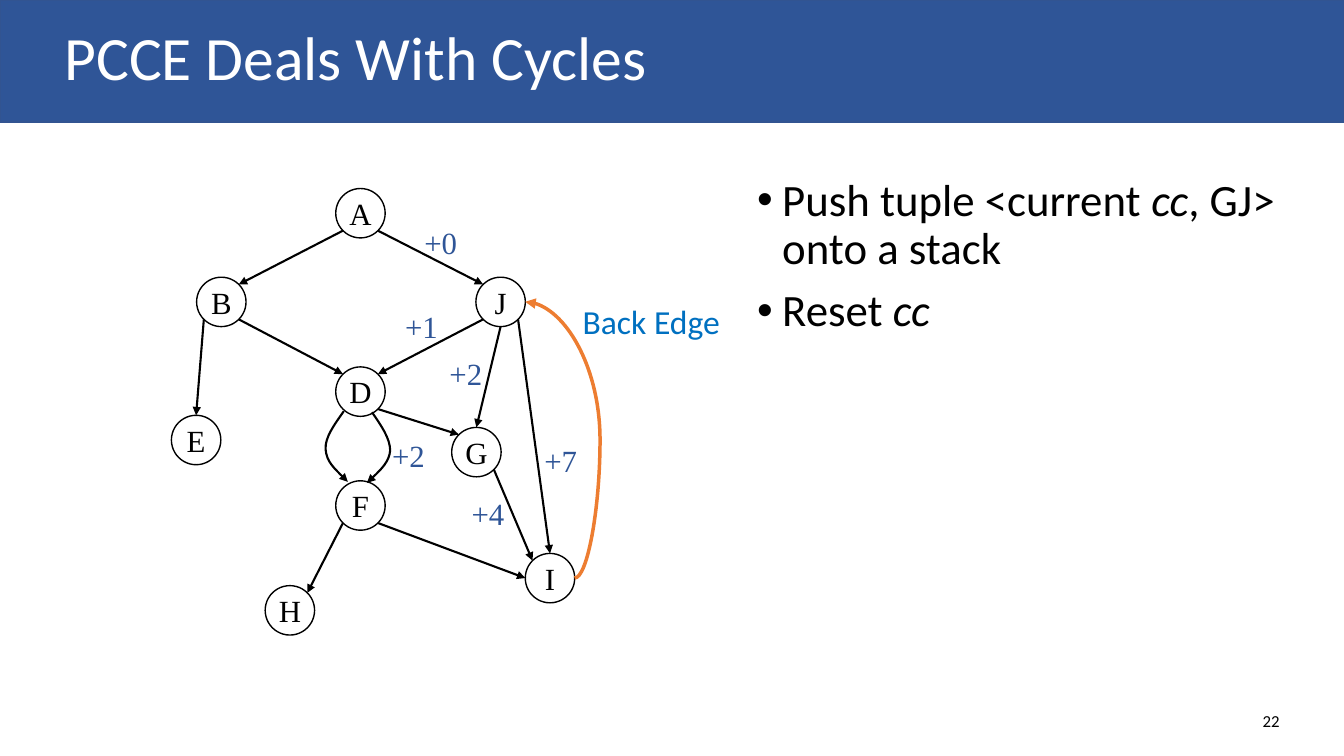
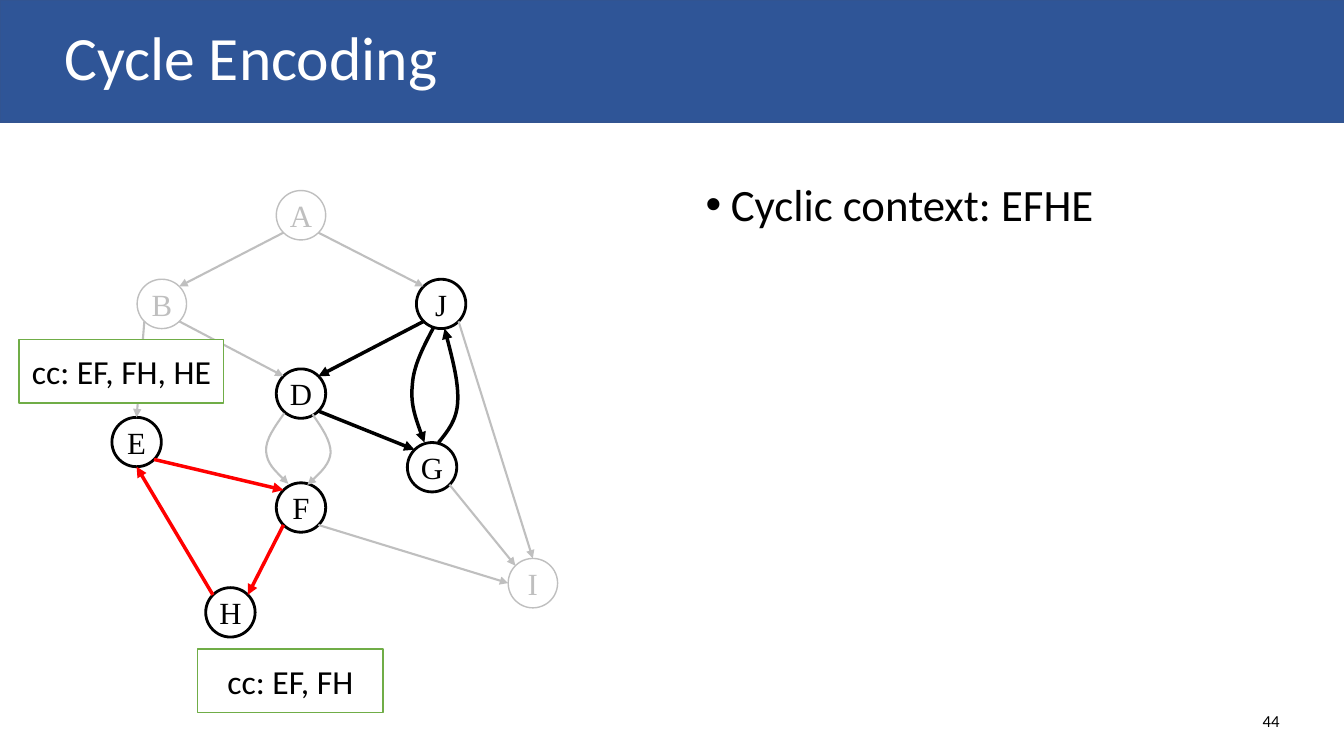
from dataclasses import dataclass, field
from math import sqrt

from pptx import Presentation
from pptx.dml.color import RGBColor
from pptx.enum.shapes import MSO_CONNECTOR as Link, MSO_SHAPE as Form
from pptx.enum.text import MSO_ANCHOR as Anchor, PP_ALIGN as Align
from pptx.oxml.ns import qn
from pptx.oxml.xmlchemy import OxmlElement
from pptx.util import Inches, Pt


@dataclass(frozen=True)
class Theme:
    """Colours, fonts and type sizes shared by every slide."""
    band: str = "2F5597"
    band_edge: str = "325491"
    ink: str = "000000"
    paper: str = "FFFFFF"
    faint: str = "BFBFBF"
    cycle: str = "FF0000"
    back_edge: str = "ED7D31"
    back_label: str = "0070C0"
    callout: str = "70AD47"
    sans: str = "Calibri"
    serif: str = "Times New Roman"
    title: int = 44
    body: int = 32
    note: int = 24
    node: int = 22
    number: int = 12


THEME = Theme()
THIN = (THEME.ink, 1.5)
BOLD = (THEME.ink, 2.5)
FAINT = (THEME.faint, 1.5)
CYCLE = (THEME.cycle, 2.5)

WIDTH, HEIGHT, BAND = 13.33, 7.5, 1.21
NODE = 0.49
RADIUS = NODE / 2
NODES = {"A": (1.63, 0), "B": (0.25, 0.88), "J": (3.02, 0.88),
         "D": (1.63, 1.77), "E": (0, 2.25), "G": (2.78, 2.37),
         "F": (1.63, 2.9), "I": (3.51, 3.62), "H": (0.93, 3.94)}
EDGES = ("A sw B ne", "A se J nw", "B se D nw", "J sw D ne", "J se I n",
         "G se I nw", "F se I w", "F sw H ne", "B sw E n", "D se G nw")
CURVES = (
    ((1.71, 2.21), (1.62, 2.34), (1.52, 2.47), (1.53, 2.59),
     (1.54, 2.71), (1.65, 2.81), (1.75, 2.91)),
    ((1.99, 2.22), (2.08, 2.35), (2.17, 2.48), (2.17, 2.6),
     (2.16, 2.71), (2.05, 2.82), (1.94, 2.92)),
)
CYCLE_CURVES = (
    ((3.19, 1.36), (3.09, 1.55), (2.99, 1.74), (2.98, 1.93),
     (2.96, 2.12), (3.03, 2.31), (3.1, 2.5)),
    ((3.24, 2.5), (3.33, 2.39), (3.42, 2.28), (3.43, 2.1),
     (3.44, 1.91), (3.37, 1.64), (3.3, 1.37)),
)
WEIGHTS = (("+0", 2.41, 0.3), ("+1", 2.22, 1.13), ("+2", 2.66, 1.6),
           ("+2", 2.09, 2.41), ("+7", 3.6, 2.46), ("+4", 2.88, 2.99))


@dataclass
class Graph:
    """A call graph: its corner, moved nodes, strong nodes and edge pens."""
    left: float
    top: float
    moved: dict = field(default_factory=dict)
    strong: str = ""
    node_pen: tuple = (THEME.ink, 1)
    edge_pen: tuple = THIN
    edge_pens: dict = field(default_factory=dict)
    bold_curves: tuple = ()

    def corner(self, name):
        """Return the top left corner of a node on the slide."""
        across, down = {**NODES, **self.moved}[name]
        return self.left + across, self.top + down

    def rim(self, name, compass):
        """Return the point on a node's rim in a compass direction."""
        left, top = self.corner(name)
        reach = RADIUS / sqrt(len(compass))
        across = ("e" in compass) - ("w" in compass)
        down = ("s" in compass) - ("n" in compass)
        return left + RADIUS + reach * across, top + RADIUS + reach * down


def inches(*lengths):
    """Turn numbers into lengths in inches."""
    return [Inches(length) for length in lengths]


def colour(value):
    """Turn a hex string into a colour."""
    return RGBColor.from_string(value)


def add_run(para, text, size, tint=THEME.ink, font=THEME.sans, italic=False):
    """Add one styled run to a paragraph."""
    span = para.add_run()
    span.text = text
    span.font.size = Pt(size)
    span.font.name = font
    span.font.italic = italic
    span.font.color.rgb = colour(tint)


def add_label(page, box, text, size, tint=THEME.ink, font=THEME.sans,
              align=Align.LEFT, anchor=Anchor.TOP, wrap=True):
    """Place a text box holding one line of text and return its paragraph."""
    frame = page.shapes.add_textbox(*inches(*box)).text_frame
    frame.word_wrap = wrap
    frame.vertical_anchor = anchor
    para = frame.paragraphs[0]
    para.alignment = align
    add_run(para, text, size, tint, font)
    return para


def add_panel(page, form, box, fill, edge, weight):
    """Place a filled and outlined shape without a shadow."""
    shape = page.shapes.add_shape(form, *inches(*box))
    shape.shadow.inherit = False
    shape.fill.solid()
    shape.fill.fore_color.rgb = colour(fill)
    shape.line.color.rgb = colour(edge)
    shape.line.width = Pt(weight)
    return shape


def fill_panel(shape, text, size, tint=THEME.ink, font=THEME.sans):
    """Centre one line of text in a shape."""
    frame = shape.text_frame
    frame.margin_left = frame.margin_right = 0
    frame.margin_top = frame.margin_bottom = 0
    frame.word_wrap = False
    frame.vertical_anchor = Anchor.MIDDLE
    para = frame.paragraphs[0]
    para.alignment = Align.CENTER
    add_run(para, text, size, tint, font)


def draw_arrow(stroke, pen):
    """Give a line its pen and an arrowhead at its end."""
    tint, weight = pen
    stroke.line.color.rgb = colour(tint)
    stroke.line.width = Pt(weight)
    tip = OxmlElement("a:tailEnd")
    tip.set("type", "triangle")
    stroke.line._get_or_add_ln().append(tip)


def add_arrow(page, start, end, pen, kind=Link.STRAIGHT):
    """Place a connector with an arrowhead."""
    link = page.shapes.add_connector(kind, *inches(*start, *end))
    draw_arrow(link, pen)
    link._element.spPr.append(OxmlElement("a:effectLst"))
    return link


def add_curve(page, graph, points, pen):
    """Place a smooth arrow through Bezier points given from the graph corner."""
    start, *rest = [inches(graph.left + x, graph.top + y) for x, y in points]
    builder = page.shapes.build_freeform(*start)
    builder.add_line_segments(rest, close=False)
    shape = builder.convert_to_shape()
    segments = list(shape._element.iter(qn("a:lnTo")))
    for first in range(0, len(segments), 3):
        bend = OxmlElement("a:cubicBezTo")
        segments[first].addprevious(bend)
        for segment in segments[first:first + 3]:
            bend.append(segment[0])
            segment.getparent().remove(segment)
    shape.shadow.inherit = False
    shape.fill.background()
    draw_arrow(shape, pen)


def add_frame(deck, title, number):
    """Add a slide with its title band and slide number."""
    page = deck.slides.add_slide(deck.slide_layouts[6])
    add_panel(page, Form.RECTANGLE, (0, 0, WIDTH, BAND),
              THEME.band, THEME.band_edge, 1)
    heading = add_label(page, (0.54, 0, 12.25, BAND), title, THEME.title,
                        THEME.paper, anchor=Anchor.MIDDLE)
    heading.line_spacing = 0.9
    add_label(page, (9.79, 6.95, 3, 0.4), number, THEME.number,
              align=Align.RIGHT, anchor=Anchor.MIDDLE)
    return page


def add_bullets(page, box, items):
    """Place a bulleted list whose items are (text, italic) runs."""
    frame = page.shapes.add_textbox(*inches(*box)).text_frame
    frame.word_wrap = True
    for index, item in enumerate(items):
        para = frame.add_paragraph() if index else frame.paragraphs[0]
        para.line_spacing = 0.9
        para.space_before = Pt(10)
        layout = para._p.get_or_add_pPr()
        layout.set("marL", str(Inches(0.25)))
        layout.set("indent", str(Inches(-0.25)))
        for tag, name, value in (("a:buFont", "typeface", "Arial"),
                                 ("a:buChar", "char", "•")):
            mark = OxmlElement(tag)
            mark.set(name, value)
            layout.append(mark)
        for text, italic in item:
            add_run(para, text, THEME.body, italic=italic)


def add_graph(page, graph):
    """Draw the nodes, edges and curves of a graph."""
    for name in NODES:
        tint, weight = (THEME.ink, 2) if name in graph.strong else graph.node_pen
        node = add_panel(page, Form.OVAL, (*graph.corner(name), NODE, NODE),
                         THEME.paper, tint, weight)
        fill_panel(node, name, THEME.node, tint, THEME.serif)
    pens = {**dict.fromkeys(EDGES, graph.edge_pen), **graph.edge_pens}
    for edge, pen in pens.items():
        source, leave, target, enter = edge.split()
        add_arrow(page, graph.rim(source, leave), graph.rim(target, enter), pen)
    for points in CURVES:
        add_curve(page, graph, points, graph.edge_pen)
    for points in graph.bold_curves:
        add_curve(page, graph, points, BOLD)


def add_back_edge(page, graph):
    """Draw the curved back edge from I to J with its label."""
    link = add_arrow(page, graph.rim("I", "e"), graph.rim("J", "e"),
                     (THEME.back_edge, 2.5), Link.CURVE)
    guides = link._element.spPr.find(qn("a:prstGeom")).get_or_add_avLst()
    bulge = OxmlElement("a:gd")
    bulge.set("name", "adj1")
    bulge.set("fmla", "val -51400")
    guides.append(bulge)
    add_label(page, (graph.left + 3.98, graph.top + 1.07, 1.75, 0.5),
              "Back Edge", THEME.note, THEME.back_label)


def add_callout(page, box, text):
    """Place a green framed note."""
    note = add_panel(page, Form.RECTANGLE, box, THEME.paper, THEME.callout, 1)
    fill_panel(note, text, THEME.note)


def build_back_edge_slide(deck):
    """Build the slide with edge weights and the back edge."""
    page = add_frame(deck, "PCCE Deals With Cycles", "22")
    add_bullets(page, (7.41, 1.71, 5.38, 4.82), (
        (("Push tuple <current ", False), ("cc", True), (", GJ> onto a stack", False)),
        (("Reset ", False), ("cc", True))))
    graph = Graph(1.7, 1.87, edge_pens={"J s G n": THIN})
    add_graph(page, graph)
    for text, across, down in WEIGHTS:
        add_label(page, (graph.left + across, graph.top + down, 0.53, 0.47),
                  text, THEME.node, THEME.band, THEME.serif, wrap=False)
    add_back_edge(page, graph)


def build_cycle_slide(deck):
    """Build the slide with the highlighted cycles and their contexts."""
    page = add_frame(deck, "Cycle Encoding", "44")
    add_bullets(page, (6.9, 1.76, 5.9, 4.76), ((("Cyclic context: EFHE", False),),))
    bold = dict.fromkeys(("J sw D ne", "D se G nw"), BOLD)
    cycle = dict.fromkeys(("F sw H ne", "E se F nw", "H nw E s"), CYCLE)
    add_graph(page, Graph(
        1.11, 1.89, moved={"G": (2.93, 2.5), "I": (3.93, 3.65)},
        strong="JDEGFH", node_pen=(THEME.faint, 1), edge_pen=FAINT,
        edge_pens={**bold, **cycle}, bold_curves=CYCLE_CURVES))
    add_callout(page, (1.96, 6.44, 1.84, 0.63), "cc: EF, FH")
    add_callout(page, (0.19, 3.37, 2.03, 0.63), "cc: EF, FH, HE")


def main():
    """Build and save the deck."""
    deck = Presentation()
    deck.slide_width, deck.slide_height = inches(WIDTH, HEIGHT)
    build_back_edge_slide(deck)
    build_cycle_slide(deck)
    deck.save("out.pptx")


if __name__ == "__main__":
    main()
